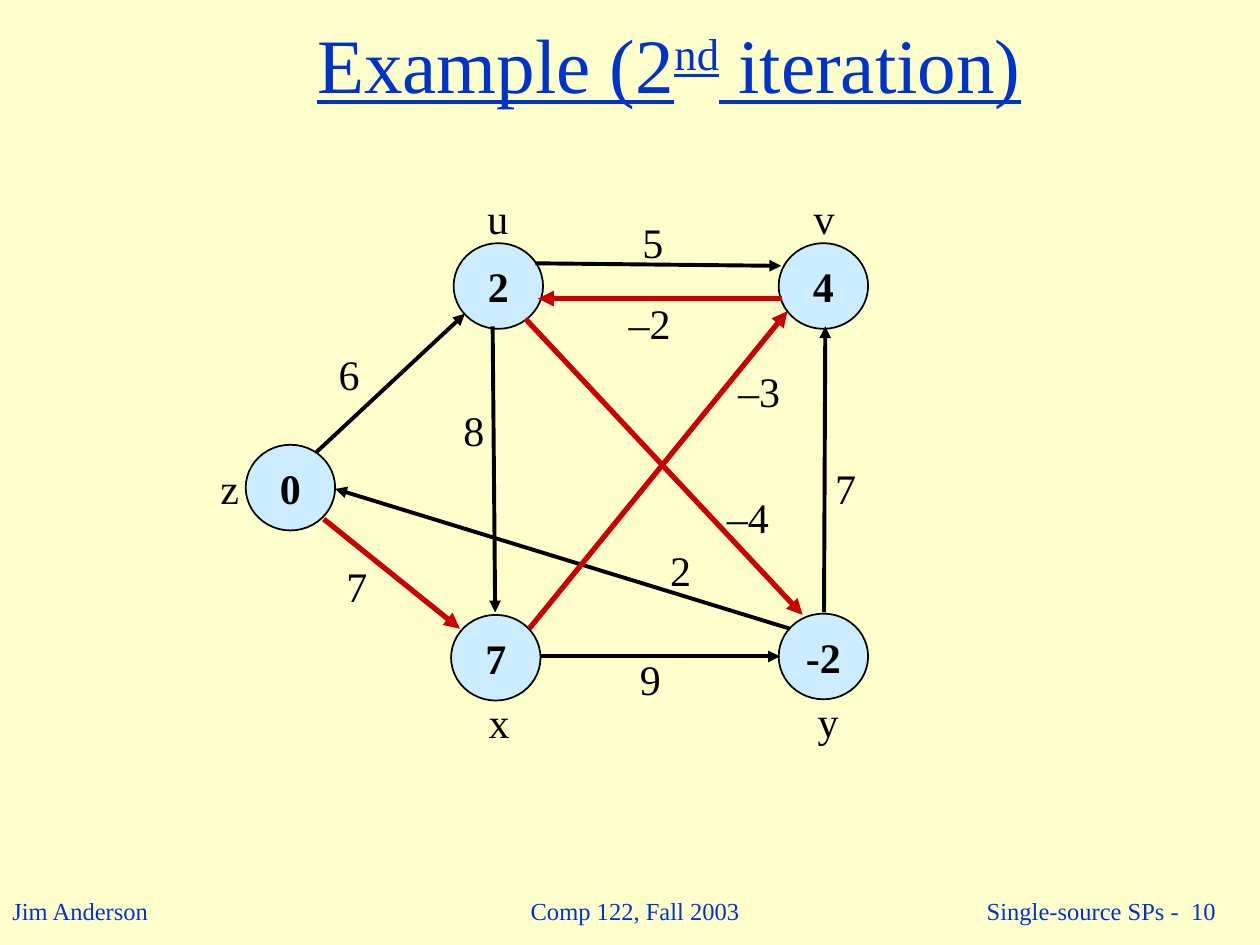
"""Build the slide showing the second iteration of a shortest-path example."""
from lxml.etree import SubElement as Sub
from pptx import Presentation as Deck
from pptx.dml.color import RGBColor as Color
from pptx.enum.shapes import MSO_CONNECTOR as Link, MSO_SHAPE as Form
from pptx.enum.text import MSO_ANCHOR as Anchor, MSO_AUTO_SIZE as Auto, PP_ALIGN as Align
from pptx.oxml.ns import qn
from pptx.util import Inches, Pt

theme = {
    "back": Color.from_string("FFFFCC"),
    "blue": Color.from_string("0033CC"),
    "disc": Color.from_string("CCECFF"),
    "ink": Color.from_string("000000"),
    "red": Color.from_string("CC0000"),
    "face": "Times New Roman",
    "title": Pt(44), "label": Pt(24), "foot": Pt(14),
    "rim": Pt(1), "thin": Pt(2.25), "thick": Pt(3),
}

deck = Deck()
deck.slide_width, deck.slide_height = Inches(10), Inches(7.5)
col, row = deck.slide_width / 100, deck.slide_height / 75
slide = deck.slides.add_slide(deck.slide_layouts[5])
slide.background.fill.solid()
slide.background.fill.fore_color.rgb = theme["back"]


def grid(*cells):
    return [round(cell * (row if i % 2 else col)) for i, cell in enumerate(cells)]


def write(shape, parts, size, tint, align, frame, **font):
    for key, val in {"word_wrap": False, "auto_size": Auto.NONE, **frame}.items():
        setattr(shape.text_frame, key, val)
    para = shape.text_frame.paragraphs[0]
    para.alignment = align
    style = {"name": theme["face"], "size": theme[size], **font}
    for part in parts:
        run = para.add_run()
        run.text = part
        run.font.color.rgb = theme[tint]
        for key, val in style.items():
            setattr(run.font, key, val)
    return para.runs


mid = {"vertical_anchor": Anchor.MIDDLE}
top = {"vertical_anchor": Anchor.TOP, "auto_size": Auto.SHAPE_TO_FIT_TEXT}

title = slide.shapes.title
title.left, title.top, title.width, title.height = grid(3.1, 0, 100, 10)
runs = write(title, ["Example (2", "nd", " iteration)"], "title", "blue",
             Align.CENTER, {**mid, "word_wrap": True}, underline=True)
runs[1].font.size = theme["title"]
runs[1]._r.get_or_add_rPr().set("baseline", "30000")

feet = [
    ("Jim Anderson", (0, 70.6, 12.9, 3.4), Align.LEFT, top),
    ("Comp 122, Fall 2003", (40, 69.8, 20.8, 5), Align.CENTER, mid),
    (" Single-source SPs -  10", (87.5, 70.2, 10, 4.2), Align.RIGHT, mid),
]
for text, cells, align, frame in feet:
    box = slide.shapes.add_textbox(*grid(*cells))
    write(box, [text], "foot", "blue", align, frame)

nodes = [("0", 19.5, 35.3), ("-2", 61.8, 48.7), ("7", 35.8, 48.8),
         ("4", 61.8, 19.3), ("2", 36, 19.3)]
for text, x, y in nodes:
    disc = slide.shapes.add_shape(Form.OVAL, *grid(x, y, 7.1, 6.8))
    disc.shadow.inherit = False
    disc.fill.solid()
    disc.fill.fore_color.rgb = theme["disc"]
    disc.line.color.rgb = theme["ink"]
    disc.line.width = theme["rim"]
    write(disc, [text], "label", "ink", Align.CENTER, mid, bold=True)

edges = {
    ("ink", "thin"): [
        (25.1, 35.9, 36.9, 24.9), (39.1, 25.9, 39.3, 48.6),
        (65.4, 48.6, 65.5, 25.9), (42.9, 52.1, 61.9, 52.1),
        (42.5, 20.9, 62, 21.1), (62.7, 49.9, 26.6, 38.8)],
    ("red", "thick"): [
        (25.7, 41.2, 36.5, 49.9), (42, 49.9, 62.5, 24.7),
        (62.1, 23.7, 42.7, 23.7), (41.7, 25.3, 63.7, 48.8)],
}
for (tint, width), ends in edges.items():
    for cells in ends:
        edge = slide.shapes.add_connector(Link.STRAIGHT, *grid(*cells))
        edge.line.color.rgb = theme[tint]
        edge.line.width = theme[width]
        Sub(edge.line._get_or_add_ln(), qn("a:tailEnd"), type="triangle")
        Sub(edge._element.spPr, qn("a:effectLst"))

labels = [
    ("z", 16.5, 36.2), ("u", 37.7, 14.8), ("v", 63.6, 14.8),
    ("x", 37.8, 54.8), ("y", 63.9, 54.7),
    ("6", 25.9, 27.2), ("5", 50, 16.7), ("–3", 57.6, 28.5),
    ("9", 49.8, 51.4), ("7", 65.3, 36.2), ("7", 26.5, 44),
    ("8", 35.8, 31.6), ("–2", 48.9, 23.1), ("–4", 56.7, 38.5),
    ("2", 52.2, 42.7),
]
for text, x, y in labels:
    box = slide.shapes.add_textbox(*grid(x, y, 1.9 + 1.7 * len(text), 5))
    write(box, [text], "label", "ink", Align.LEFT, top)

deck.save("out.pptx")
